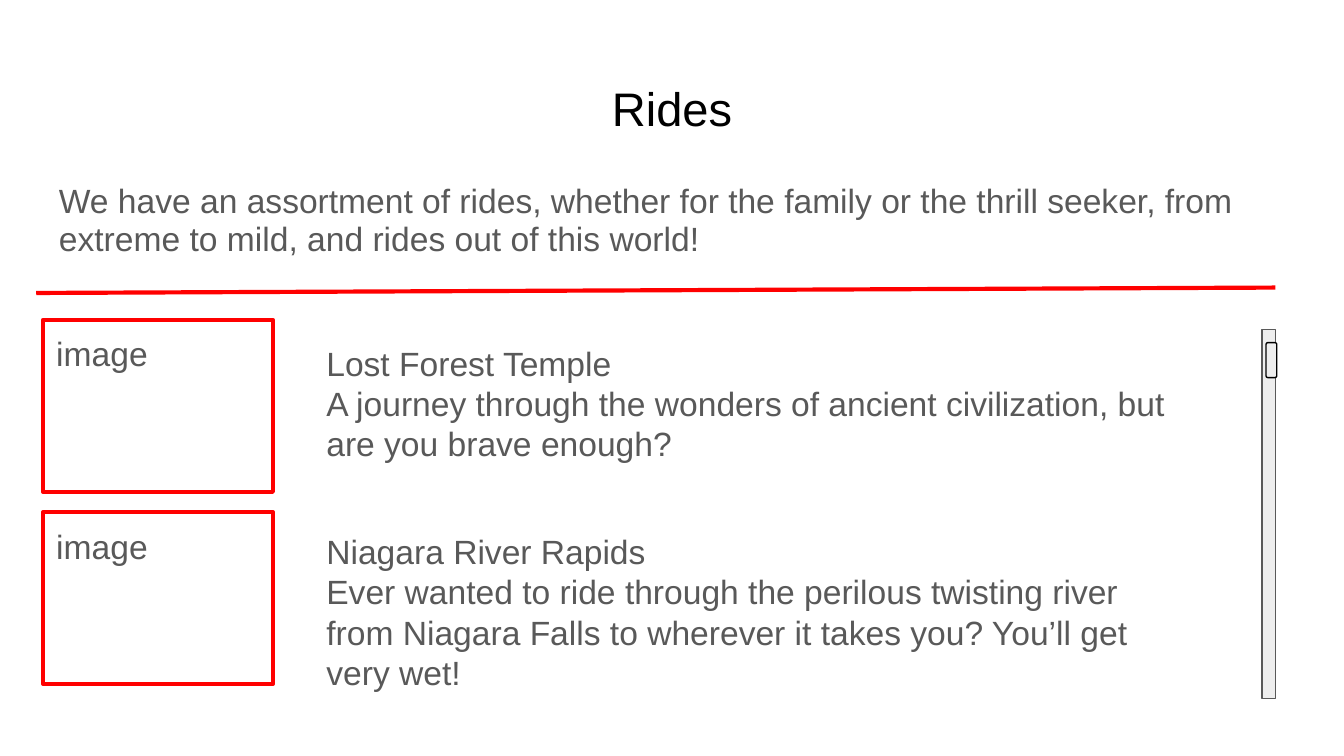
from dataclasses import dataclass

from lxml.etree import SubElement
from pptx import Presentation
from pptx.dml.color import RGBColor
from pptx.enum.shapes import MSO_CONNECTOR, MSO_SHAPE
from pptx.enum.text import MSO_ANCHOR, PP_ALIGN
from pptx.oxml.ns import qn
from pptx.util import Inches, Pt

COLORS = {
    "title": "000000",
    "text": "595959",
    "accent": "FF0000",
    "track": "EEEEEE",
}
FONT = "Arial"
IMAGE_LEFT, IMAGE_WIDTH, IMAGE_HEIGHT = 0.32, 1.71, 1.28
RIDE_LEFT, RIDE_HEIGHT = 2.33, 1.21


@dataclass
class Area:
    left: float
    top: float
    width: float
    height: float

    def lengths(self) -> list[Inches]:
        return [Inches(n) for n in (self.left, self.top, self.width, self.height)]


@dataclass
class Ride:
    name: str
    description: str
    image_top: float
    text_top: float
    text_width: float


RIDES = [
    Ride("Lost Forest Temple",
         "A journey through the wonders of ancient civilization, "
         "but are you brave enough?", 2.38, 2.45, 6.82),
    Ride("Niagara River Rapids",
         "Ever wanted to ride through the perilous twisting river from "
         "Niagara Falls to wherever it takes you? You’ll get very wet!",
         3.81, 3.85, 6.59),
]


def color(name: str) -> RGBColor:
    return RGBColor.from_string(COLORS[name])


def write(shape, text: str, size: float = 18, ink: str = "text",
          align=PP_ALIGN.LEFT, spacing: float = 1.0) -> None:
    """Fill a shape with text, one paragraph per line."""
    frame = shape.text_frame
    frame.text = text
    frame.word_wrap = True
    frame.vertical_anchor = MSO_ANCHOR.TOP
    frame.margin_left = frame.margin_right = Inches(0.1)
    frame.margin_top = frame.margin_bottom = Inches(0.1)
    for para in frame.paragraphs:
        para.alignment = align
        para.line_spacing = spacing
        for span in para.runs:
            span.font.name = FONT
            span.font.size = Pt(size)
            span.font.color.rgb = color(ink)


def add_box(slide, kind, area: Area, line: str, width: float, fill: str = ""):
    box = slide.shapes.add_shape(kind, *area.lengths())
    box.shadow.inherit = False
    if fill:
        box.fill.solid()
        box.fill.fore_color.rgb = color(fill)
    else:
        box.fill.background()
    box.line.color.rgb = color(line)
    box.line.width = Pt(width)
    return box


def add_divider(slide) -> None:
    divider = slide.shapes.add_connector(
        MSO_CONNECTOR.STRAIGHT,
        Inches(0.27), Inches(2.18), Inches(9.49), Inches(2.14))
    divider.line.color.rgb = color("accent")
    divider.line.width = Pt(2.25)
    SubElement(divider._element.spPr, qn("a:effectLst"))


def add_ride(slide, ride: Ride) -> None:
    image = Area(IMAGE_LEFT, ride.image_top, IMAGE_WIDTH, IMAGE_HEIGHT)
    write(add_box(slide, MSO_SHAPE.RECTANGLE, image, "accent", 2.25), "image")
    area = Area(RIDE_LEFT, ride.text_top, ride.text_width, RIDE_HEIGHT)
    write(slide.shapes.add_textbox(*area.lengths()),
          f"{ride.name}\n{ride.description}")


def add_scrollbar(slide) -> None:
    add_box(slide, MSO_SHAPE.RECTANGLE, Area(9.39, 2.45, 0.1, 2.75),
            "text", 0.75, "track")
    add_box(slide, MSO_SHAPE.FLOWCHART_ALTERNATE_PROCESS,
            Area(9.42, 2.55, 0.08, 0.26), "title", 0.75, "track")


def main() -> None:
    deck = Presentation()
    deck.slide_width, deck.slide_height = Inches(10), Inches(10 * 9 / 16)
    page = deck.slides.add_slide(deck.slide_layouts[6])

    title = page.shapes.add_textbox(*Area(0.34, 0.49, 9.32, 0.63).lengths())
    write(title, "Rides", 25.2, "title", PP_ALIGN.CENTER)
    intro = page.shapes.add_textbox(*Area(0.34, 1.26, 9.32, 1.28).lengths())
    write(intro, "We have an assortment of rides, whether for the family or "
                 "the thrill seeker, from extreme to mild, and rides out of "
                 "this world!", spacing=0.95)

    add_divider(page)
    for ride in RIDES:
        add_ride(page, ride)
    add_scrollbar(page)
    deck.save("out.pptx")


if __name__ == "__main__":
    main()
